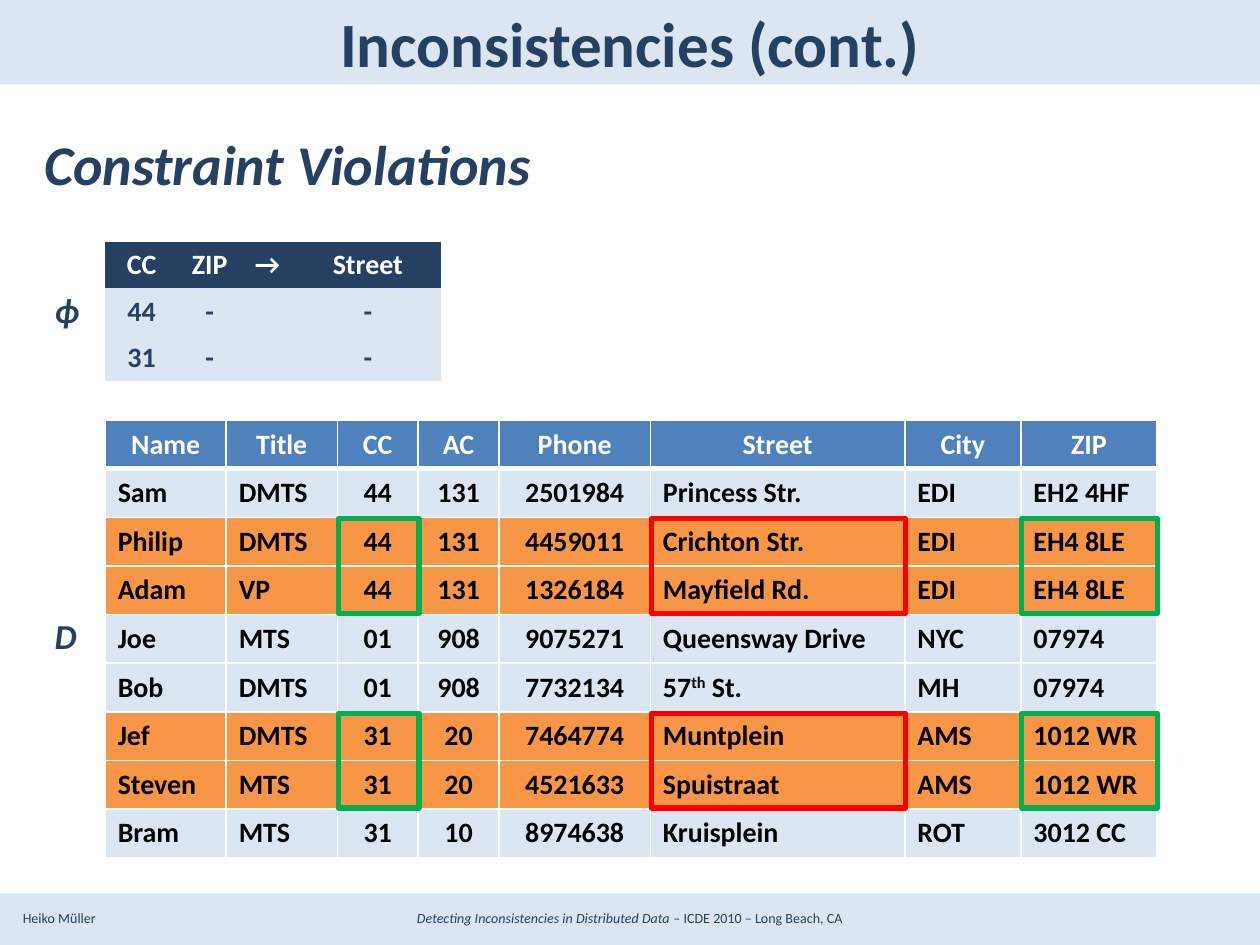
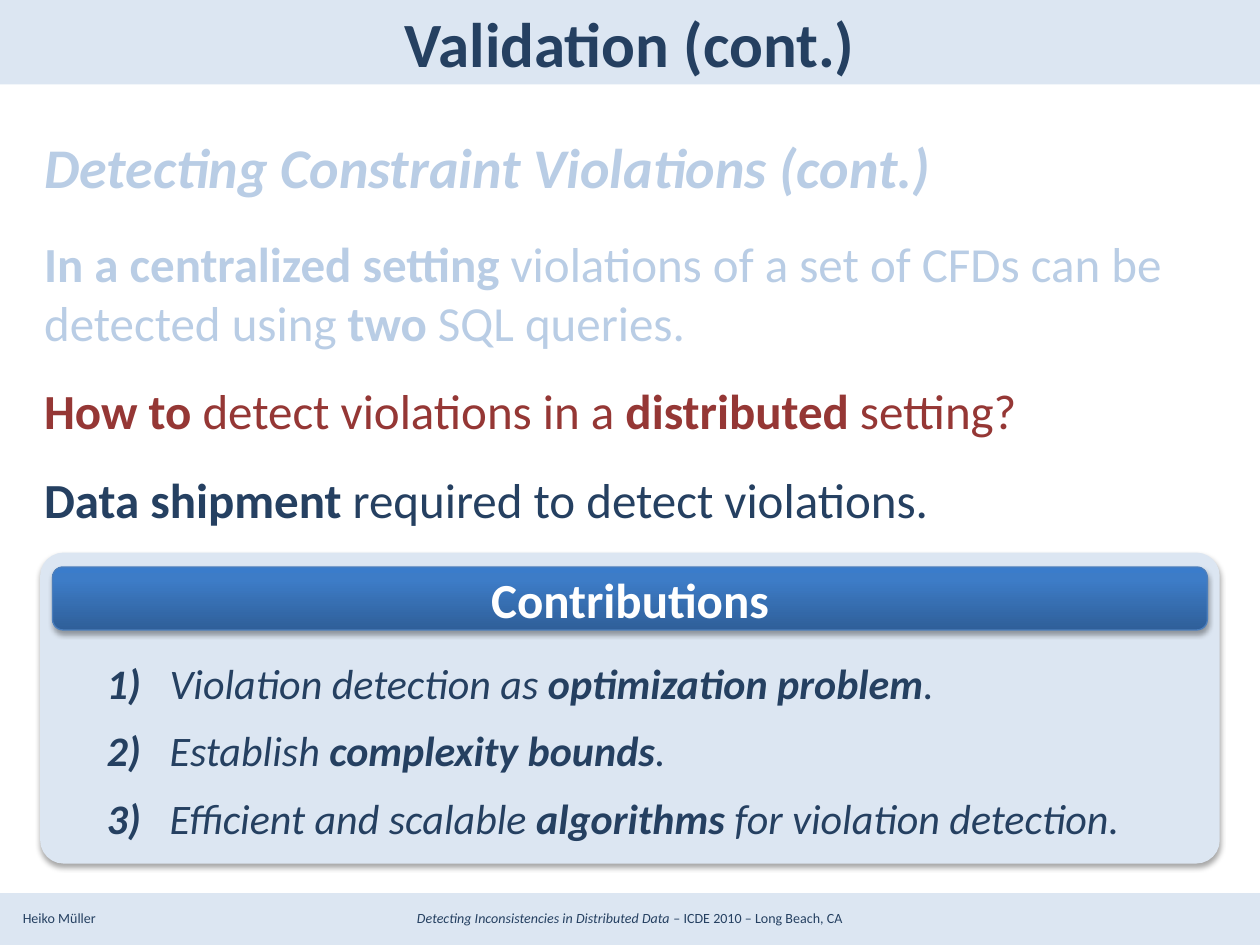
from itertools import accumulate, groupby

from lxml import etree
from pptx import Presentation
from pptx.dml.color import RGBColor
from pptx.enum.shapes import MSO_SHAPE
from pptx.enum.text import MSO_ANCHOR, MSO_AUTO_SIZE, PP_ALIGN
from pptx.oxml import parse_xml
from pptx.oxml.ns import nsdecls, qn
from pptx.util import Cm, Pt

# Shared look
NAVY, PALE, WHITE, BLACK = "254061", "DCE6F2", "FFFFFF", "000000"
FADED, MAROON, BLUE, ORANGE = "B9CDE5", "953735", "4F81BD", "F79646"
GREEN, RED, BUTTON_EDGE = "00B050", "FF0000", "4B7EBC"
BUTTON_STOPS = [(0, "2F5F99"), (80, "3D7CC7"), (100, "3A7CCB")]
PLAIN_TABLE = "{2D5ABB26-0587-4C30-8999-92F81FD0307C}"
CENTER, LEFT = PP_ALIGN.CENTER, PP_ALIGN.LEFT
BOLD, ITALIC, SUPERSCRIPT = {"bold": True}, {"italic": True}, {"baseline": 30000}
HEADING = {"size": 32, "bold": True, "italic": True}

# Content: text between asterisks is emphasised
AUTHOR = "Heiko Müller"
TALK = "*Detecting Inconsistencies in Distributed Data* – ICDE 2010 – Long Beach, CA"

VIOLATIONS_TITLE = "Inconsistencies (cont.)"
VIOLATIONS_HEADING = "Constraint Violations"
CONSTRAINT = [
    ("CC", "ZIP", "→", "Street"),
    ("44", "-", "", "-"),
    ("31", "-", "", "-"),
]
CONSTRAINT_WIDTHS = [1.47, 1.27, 1.07, 2.97]
PEOPLE = [
    ("Name", "Title", "CC", "AC", "Phone", "Street", "City", "ZIP"),
    ("Sam", "DMTS", "44", "131", "2501984", "Princess Str.", "EDI", "EH2 4HF"),
    ("Philip", "DMTS", "44", "131", "4459011", "Crichton Str.", "EDI", "EH4 8LE"),
    ("Adam", "VP", "44", "131", "1326184", "Mayfield Rd.", "EDI", "EH4 8LE"),
    ("Joe", "MTS", "01", "908", "9075271", "Queensway Drive", "NYC", "07974"),
    ("Bob", "DMTS", "01", "908", "7732134", "57*th* St.", "MH", "07974"),
    ("Jef", "DMTS", "31", "20", "7464774", "Muntplein", "AMS", "1012 WR"),
    ("Steven", "MTS", "31", "20", "4521633", "Spuistraat", "AMS", "1012 WR"),
    ("Bram", "MTS", "31", "10", "8974638", "Kruisplein", "ROT", "3012 CC"),
]
PEOPLE_WIDTHS = [2.44, 2.24, 1.63, 1.63, 3.05, 5.13, 2.34, 2.74]
CENTERED_COLUMNS = {"CC", "AC", "Phone"}
MARKED_COLUMNS = {"CC": GREEN, "ZIP": GREEN, "Street": RED}
TABLE_LEFT, PEOPLE_TOP, PEOPLE_ROW = 2.12, 8.47, 0.98

VALIDATION_TITLE = "Validation (cont.)"
# text, colour, space before, font
VALIDATION = [
    ("Detecting Constraint Violations (cont.)", FADED, 0, HEADING),
    ("*In a centralized setting* violations of a set of CFDs can be detected "
     "using *two* SQL queries.", FADED, 19.5, {"size": 28}),
    ("*How to* detect violations in a *distributed* setting?", MAROON, 17, {"size": 28}),
    ("*Data shipment* required to detect violations.", NAVY, 17, {"size": 28}),
]
CONTRIBUTIONS_HEADING = "Contributions"
CONTRIBUTIONS = [
    "Violation detection as *optimization problem*.",
    "Establish *complexity bounds*.",
    "Efficient and scalable *algorithms* for violation detection.",
]


def color(value):
    return RGBColor.from_string(value)


def write(paragraph, text, hue=NAVY, emphasis=BOLD, align=LEFT, **font):
    paragraph.alignment = align
    for number, piece in enumerate(text.split("*")):
        if not piece:
            continue
        run = paragraph.add_run()
        run.text = piece
        look = {"name": "Calibri", **font, **(emphasis if number % 2 else {})}
        look["size"] = Pt(look["size"])
        if "baseline" in look:
            run.font.size = look["size"]
            run.font._element.set("baseline", str(look.pop("baseline")))
        for key, value in look.items():
            setattr(run.font, key, value)
        run.font.color.rgb = color(hue)


def set_frame(frame, anchor=MSO_ANCHOR.TOP):
    for key, value in {"word_wrap": True, "auto_size": MSO_AUTO_SIZE.NONE,
                       "vertical_anchor": anchor}.items():
        setattr(frame, key, value)
    return frame


def add_box(slide, place, anchor=MSO_ANCHOR.TOP):
    return set_frame(slide.shapes.add_textbox(*map(Cm, place)).text_frame, anchor)


def add_label(slide, text, place, anchor=MSO_ANCHOR.TOP, **look):
    write(add_box(slide, place, anchor).paragraphs[0], text, **look)


def add_block(slide, kind, place, fill=None, line=None, width=1):
    block = slide.shapes.add_shape(kind, *map(Cm, place))
    block.shadow.inherit = False
    if fill:
        block.fill.solid()
        block.fill.fore_color.rgb = color(fill)
    else:
        block.fill.background()
    if line:
        block.line.color.rgb = color(line)
        block.line.width = Pt(width)
    else:
        block.line.fill.background()
    return block


def cast_shadow(block):
    effects = block._element.spPr.find(qn("a:effectLst"))
    effects.append(parse_xml(
        f'<a:outerShdw {nsdecls("a")} blurRad="40000" dist="23000" dir="5400000" '
        'rotWithShape="0"><a:srgbClr val="000000"><a:alpha val="35000"/>'
        '</a:srgbClr></a:outerShdw>'))


def shade(block, stops):
    listed = "".join(f'<a:gs pos="{at * 1000}"><a:srgbClr val="{hue}"/></a:gs>'
                     for at, hue in stops)
    properties = block._element.spPr
    properties.replace(properties.find(qn("a:solidFill")), parse_xml(
        f'<a:gradFill {nsdecls("a")} rotWithShape="1"><a:gsLst>{listed}</a:gsLst>'
        '<a:lin ang="16200000" scaled="0"/></a:gradFill>'))


def set_borders(cell, **widths):
    properties = cell._tc.get_or_add_tcPr()
    for position, (side, points) in enumerate(widths.items()):
        edge = etree.Element(qn(f"a:{side}"), w=str(Pt(points)))
        fill = etree.SubElement(edge, qn("a:solidFill"))
        etree.SubElement(fill, qn("a:srgbClr"), val=WHITE)
        properties.insert(position, edge)


def add_grid(slide, rows, place, widths, row_height, style):
    """style(row, column) gives fill, text colour and alignment."""
    grid = slide.shapes.add_table(
        len(rows), len(widths), *map(Cm, place),
        Cm(sum(widths)), Cm(row_height * len(rows))).table
    grid._tbl.tblPr.find(qn("a:tableStyleId")).text = PLAIN_TABLE
    for column, width in zip(grid.columns, widths):
        column.width = Cm(width)
    for r, values in enumerate(rows):
        grid.rows[r].height = Cm(row_height)
        for c, value in enumerate(values):
            cell = grid.cell(r, c)
            fill, hue, align = style(r, c)
            cell.margin_top = cell.margin_bottom = 0
            cell.vertical_anchor = MSO_ANCHOR.MIDDLE
            cell.fill.solid()
            cell.fill.fore_color.rgb = color(fill)
            write(cell.text_frame.paragraphs[0], value, hue, SUPERSCRIPT, align,
                  size=16, bold=True)
    return grid


def add_slide(deck, heading):
    slide = deck.slides.add_slide(deck.slide_layouts[5])
    add_block(slide, MSO_SHAPE.RECTANGLE, (0, 1.7, 25.4, 16.3), WHITE)
    add_label(slide, AUTHOR, (0.21, 18.21, 2.54, 0.6), size=8)
    add_label(slide, TALK, (0.42, 18.21, 24.56, 0.6), emphasis=ITALIC, align=CENTER, size=8)
    title = slide.shapes.title
    for key, value in zip(("left", "top", "width", "height"), (1.27, 0, 22.86, 1.7)):
        setattr(title, key, Cm(value))
    frame = set_frame(title.text_frame, MSO_ANCHOR.MIDDLE)
    write(frame.paragraphs[0], heading, align=CENTER, size=36, bold=True)
    return slide


def find_violations():
    """Row ranges that share CC and ZIP, where the constraint covers the CC."""
    cc, zip_code = PEOPLE[0].index("CC"), PEOPLE[0].index("ZIP")
    covered = {row[0] for row in CONSTRAINT[1:]}
    for (code, _), group in groupby(range(1, len(PEOPLE)),
                                    lambda r: (PEOPLE[r][cc], PEOPLE[r][zip_code])):
        found = list(group)
        if code in covered and len(found) > 1:
            yield found


def build_violations(deck):
    slide = add_slide(deck, VIOLATIONS_TITLE)
    middle = MSO_ANCHOR.MIDDLE
    add_label(slide, VIOLATIONS_HEADING, (0.64, 2.54, 24.76, 1.48), middle, **HEADING)
    for symbol, top, height in [("ϕ", 4.87, 2.75), ("D", PEOPLE_TOP, 8.68)]:
        add_label(slide, symbol, (0.85, top, 1.27, height), middle,
                  size=20, bold=True, italic=True)

    # Constraint table
    add_grid(slide, CONSTRAINT, (TABLE_LEFT, 4.87), CONSTRAINT_WIDTHS, 0.94,
             lambda r, c: (PALE, NAVY, CENTER) if r else (NAVY, WHITE, CENTER))

    # Data table, violating rows in orange
    violations = list(find_violations())
    orange_rows = set(sum(violations, []))

    def people_style(r, c):
        if r == 0:
            return BLUE, WHITE, CENTER
        align = CENTER if PEOPLE[0][c] in CENTERED_COLUMNS else LEFT
        return (ORANGE if r in orange_rows else PALE), BLACK, align

    people = add_grid(slide, PEOPLE, (TABLE_LEFT, PEOPLE_TOP), PEOPLE_WIDTHS,
                      PEOPLE_ROW, people_style)
    for r in range(len(PEOPLE)):
        for c in range(len(PEOPLE_WIDTHS)):
            set_borders(people.cell(r, c), lnL=1, lnR=1,
                        lnT=3 if r == 1 else 1, lnB=1 if r else 3)

    # Frames around the clashing values
    lefts = list(accumulate(PEOPLE_WIDTHS, initial=TABLE_LEFT))
    for rows in violations:
        top = PEOPLE_TOP + rows[0] * PEOPLE_ROW + 0.03
        for name, hue in MARKED_COLUMNS.items():
            c = PEOPLE[0].index(name)
            place = (lefts[c] + 0.02, top, PEOPLE_WIDTHS[c], len(rows) * PEOPLE_ROW - 0.05)
            add_block(slide, MSO_SHAPE.RECTANGLE, place, line=hue, width=3)


def build_validation(deck):
    slide = add_slide(deck, VALIDATION_TITLE)
    frame = add_box(slide, (0.64, 2.54, 24.13, 8.46))
    for number, (text, hue, before, font) in enumerate(VALIDATION):
        paragraph = frame.add_paragraph() if number else frame.paragraphs[0]
        paragraph.space_before = Pt(before)
        write(paragraph, text, hue, **font)

    # Contributions card
    rounded = MSO_SHAPE.ROUNDED_RECTANGLE
    card = add_block(slide, rounded, (0.85, 11.18, 23.7, 6.19), PALE, PALE, 2.25)
    card.adjustments[0] = 0.07
    button = add_block(slide, rounded, (1.06, 11.43, 23.28, 1.27), BLUE, BUTTON_EDGE, 0.75)
    shade(button, BUTTON_STOPS)
    for block in (card, button):
        cast_shadow(block)
    write(set_frame(button.text_frame, MSO_ANCHOR.MIDDLE).paragraphs[0],
          CONTRIBUTIONS_HEADING, WHITE, align=CENTER, size=28, bold=True)

    frame = add_box(slide, (1.9, 13.12, 21.4, 4))
    for number, text in enumerate(CONTRIBUTIONS, 1):
        paragraph = frame.paragraphs[0] if number == 1 else frame.add_paragraph()
        paragraph.space_before = Pt(0 if number == 1 else 9.8)
        tabs = etree.SubElement(paragraph._p.get_or_add_pPr(), qn("a:tabLst"))
        etree.SubElement(tabs, qn("a:tab"), pos=str(Cm(1.27)), algn="l")
        write(paragraph, f"*{number})*\t{text}", size=24, italic=True)


def main():
    deck = Presentation()
    deck.slide_width, deck.slide_height = Cm(25.4), Cm(19.05)
    backdrop = deck.slide_master.background.fill
    backdrop.solid()
    backdrop.fore_color.rgb = color(PALE)
    build_violations(deck)
    build_validation(deck)
    deck.save("out.pptx")


if __name__ == "__main__":
    main()
